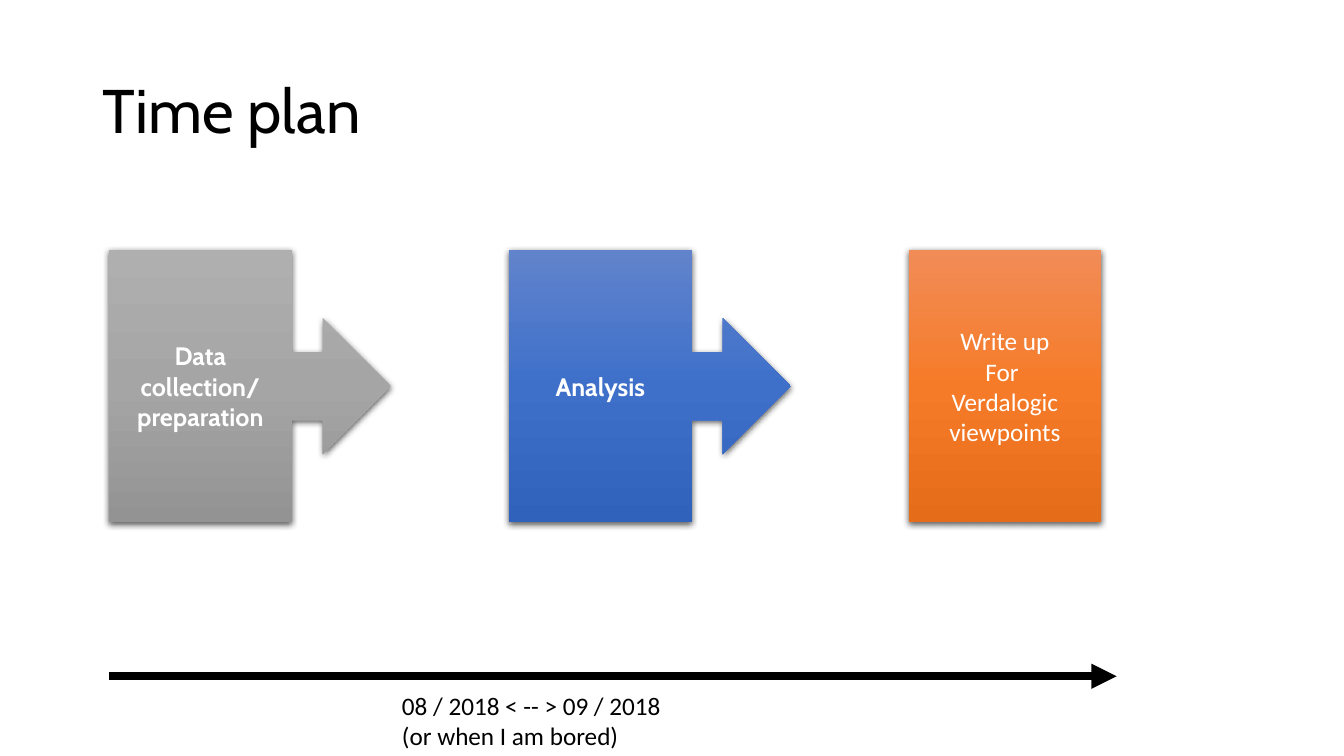
"""Build the time plan slide: three stages above a timeline arrow."""
from lxml.etree import SubElement
from pptx import Presentation
from pptx.dml.color import RGBColor
from pptx.enum.shapes import MSO_CONNECTOR as Connector, MSO_SHAPE as Shape
from pptx.enum.text import MSO_ANCHOR as Anchor, PP_ALIGN as Align
from pptx.oxml.ns import qn
from pptx.util import Cm, Pt

COLOURS = {
    "ink": "000000",
    "paper": "FFFFFF",
    "collection": ("AFAFAF", "A5A5A5", "939393"),
    "analysis": ("6183CB", "3E70CA", "3062BB"),
    "writing": ("F18C57", "F67B28", "E56C19"),
}


def write(frame, *lines, font="Calibri", size=18, colour="ink", bold=False,
          align=Align.LEFT, anchor=Anchor.TOP, spacing=None):
    frame.word_wrap = True
    frame.vertical_anchor = anchor
    for number, line in enumerate(lines):
        paragraph = frame.add_paragraph() if number else frame.paragraphs[0]
        paragraph.alignment = align
        paragraph.line_spacing = spacing
        run = paragraph.add_run()
        run.text = line
        run.font.name, run.font.size, run.font.bold = font, Pt(size), bold
        run.font.color.rgb = RGBColor.from_string(COLOURS[colour])


class Plan:
    def __init__(self, deck):
        self.slide = deck.slides.add_slide(deck.slide_layouts[5])
        self.shapes = self.slide.shapes
        self.heading_font = "Cabin"

    def title(self, text, *box):
        heading = self.shapes.title
        heading.left, heading.top, heading.width, heading.height = map(Cm, box)
        write(heading.text_frame, text, font=self.heading_font, size=44,
              anchor=Anchor.MIDDLE, spacing=0.9)

    def stage(self, kind, box, colours, lines, **style):
        stage = self.shapes.add_shape(kind, *map(Cm, box))
        stage.line.fill.background()
        self.shade(stage, COLOURS[colours])
        self.drop_shadow(stage)
        write(stage.text_frame, *lines, colour="paper", align=Align.CENTER,
              anchor=Anchor.MIDDLE, **style)

    def shade(self, stage, tones):
        stage.fill.gradient()
        stage.fill.gradient_angle = 270
        stops = stage._element.spPr.find(qn("a:gradFill")).find(qn("a:gsLst"))
        for stop in list(stops):
            stops.remove(stop)
        for position, tone in zip((0, 50000, 100000), tones):
            stop = SubElement(stops, qn("a:gs"), pos=str(position))
            SubElement(stop, qn("a:srgbClr"), val=tone)

    def drop_shadow(self, stage):
        stage.shadow.inherit = False
        effects = stage._element.spPr.find(qn("a:effectLst"))
        shadow = SubElement(effects, qn("a:outerShdw"), blurRad=str(Pt(4.5)),
                            dist=str(Pt(1.5)), dir="5400000", algn="ctr",
                            rotWithShape="0")
        tone = SubElement(shadow, qn("a:srgbClr"), val=COLOURS["ink"])
        SubElement(tone, qn("a:alpha"), val="63000")

    def arrow(self, *ends):
        timeline = self.shapes.add_connector(Connector.STRAIGHT, *map(Cm, ends))
        timeline.line.width = Pt(6)
        timeline.line.color.rgb = RGBColor.from_string(COLOURS["ink"])
        SubElement(timeline.line._get_or_add_ln(), qn("a:tailEnd"), type="triangle")
        SubElement(timeline._element.spPr, qn("a:effectLst"))

    def caption(self, text, *box):
        write(self.shapes.add_textbox(*map(Cm, box)).text_frame, text)


deck = Presentation()
deck.slide_width, deck.slide_height = Cm(33.87), Cm(19.05)
plan = Plan(deck)
plan.title("Time plan", 2.34, 1.02, 29.21, 3.68)

left, top, pitch, height = 2.74, 6.3, 10.08, 6.86
bold_heading = {"font": plan.heading_font, "bold": True}
stages = [
    (Shape.RIGHT_ARROW_CALLOUT, 7.11, "collection",
     ["Data collection/", "preparation"], bold_heading),
    (Shape.RIGHT_ARROW_CALLOUT, 7.11, "analysis", ["Analysis"], bold_heading),
    (Shape.RECTANGLE, 4.85, "writing",
     ["Write up", "For ", "Verdalogic viewpoints"], {}),
]
for step, (kind, width, colours, lines, style) in enumerate(stages):
    box = (left + step * pitch, top, width, height)
    plan.stage(kind, box, colours, lines, **style)

plan.arrow(left, 17.04, 28.14, 17.04)
plan.caption("08 / 2018 < -- > 09 / 2018 (or when I am bored)",
             9.88, 17.27, 7.11, 1.8)
deck.save("out.pptx")
